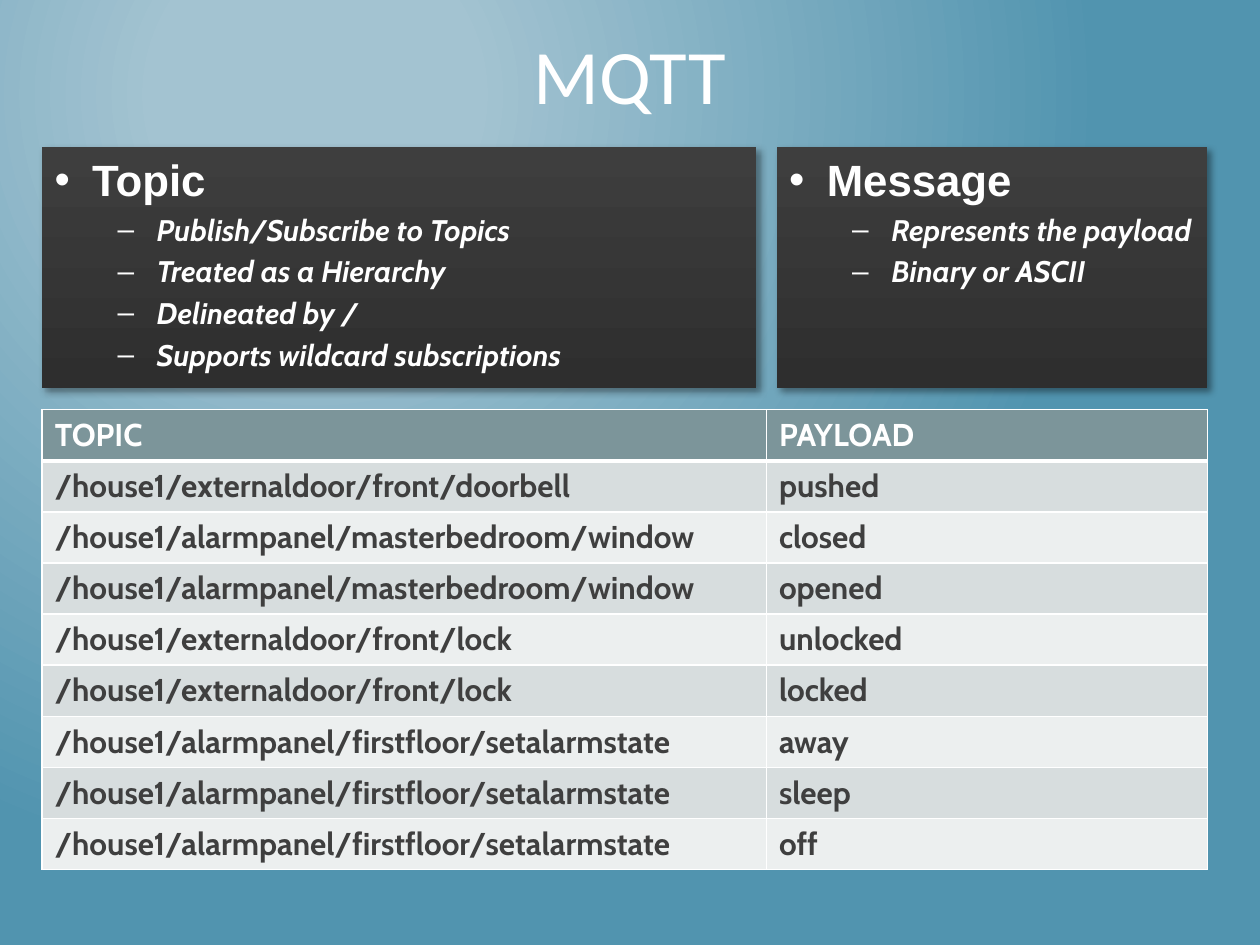
import pptx
import pptx.dml.color
import pptx.enum.shapes
import pptx.enum.text
import pptx.oxml
import pptx.oxml.ns
import pptx.util

Cm = pptx.util.Cm
Pt = pptx.util.Pt
qn = pptx.oxml.ns.qn
NS = pptx.oxml.ns.nsdecls("a")

WHITE = "FFFFFF"
HEAD = "7C959A"
BANDS = ("D7DDDE", "ECEFEF")

TOPIC = ("Topic", ["Publish/Subscribe to Topics", "Treated as a Hierarchy",
                   "Delineated by /", "Supports wildcard subscriptions"])
MESSAGE = ("Message", ["Represents the payload", "Binary or ASCII"])

ROWS = [
    ("TOPIC", "PAYLOAD"),
    ("/house1/externaldoor/front/doorbell", "pushed"),
    ("/house1/alarmpanel/masterbedroom/window", "closed"),
    ("/house1/alarmpanel/masterbedroom/window", "opened"),
    ("/house1/externaldoor/front/lock", "unlocked"),
    ("/house1/externaldoor/front/lock", "locked"),
    ("/house1/alarmpanel/firstfloor/setalarmstate", "away"),
    ("/house1/alarmpanel/firstfloor/setalarmstate", "sleep"),
    ("/house1/alarmpanel/firstfloor/setalarmstate", "off"),
]


def rgb(code):
    return pptx.dml.color.RGBColor.from_string(code)


def style(para, font, size, color, bold=False, italic=False):
    for run in para.runs:
        run.font.name = font
        run.font.size = Pt(size)
        run.font.color.rgb = rgb(color)
        run.font.bold = bold
        run.font.italic = italic


def blend(fill, first, last, start=0):
    """Fill with a gradient between two colours."""
    fill.gradient()
    for stop, color, pos in zip(fill.gradient_stops, (first, last), (start, 1)):
        stop.color.rgb = rgb(color)
        stop.position = pos


def backdrop(slide):
    blend(slide.background.fill, "A3C3D1", "5194AF", 0.2)
    grad = slide.element.find(".//" + qn("a:gradFill"))
    grad.replace(grad.find(qn("a:lin")), pptx.oxml.parse_xml(
        f'<a:path {NS} path="circle">'
        '<a:fillToRect l="50000" t="20000" r="100000" b="100000"/></a:path>'))


def heading(slide, text, x, y, w, h):
    title = slide.shapes.title
    title.left, title.top, title.width, title.height = Cm(x), Cm(y), Cm(w), Cm(h)
    frame = title.text_frame
    frame.text = text
    frame.vertical_anchor = pptx.enum.text.MSO_ANCHOR.MIDDLE
    frame.paragraphs[0].alignment = pptx.enum.text.PP_ALIGN.CENTER
    style(frame.paragraphs[0], "Calibri", 44, WHITE)


def bullet(para, mark, left, hang):
    props = para._p.get_or_add_pPr()
    props.set("marL", str(Cm(left)))
    props.set("indent", str(-Cm(hang)))
    props.append(pptx.oxml.parse_xml(f'<a:buFont {NS} typeface="Arial"/>'))
    props.append(pptx.oxml.parse_xml(f'<a:buChar {NS} char="{mark}"/>'))


def shade(shape):
    shape.shadow.inherit = False
    shape._element.spPr.find(qn("a:effectLst")).append(pptx.oxml.parse_xml(
        f'<a:outerShdw {NS} blurRad="{Pt(4)}" dist="{Pt(3)}" dir="2700000">'
        '<a:srgbClr val="000000"><a:alpha val="40000"/></a:srgbClr>'
        '</a:outerShdw>'))


def panel(slide, head, items, x, y, w, h):
    box = slide.shapes.add_shape(pptx.enum.shapes.MSO_SHAPE.RECTANGLE,
                                 Cm(x), Cm(y), Cm(w), Cm(h))
    blend(box.fill, "2E2E2E", "3E3E3E")
    box.fill.gradient_angle = 90
    box.line.fill.background()
    shade(box)
    frame = box.text_frame
    frame.word_wrap = True
    frame.margin_right = 0
    frame.vertical_anchor = pptx.enum.text.MSO_ANCHOR.TOP
    frame.text = "\n".join([head] + items)
    for i, para in enumerate(frame.paragraphs):
        para.alignment = pptx.enum.text.PP_ALIGN.LEFT
        if i == 0:
            para.space_before = Pt(5)
            bullet(para, "•", 0.76, 0.76)
            style(para, "Arial", 25, WHITE, bold=True)
        else:
            para.level = 1
            para.space_before = Pt(3.4)
            bullet(para, "–", 2.06, 0.79)
            style(para, "Cabin", 17, WHITE, bold=True, italic=True)


def border(cell, **widths):
    """Draw white cell edges; keys are L, R, T and B, in that order."""
    props = cell._tc.get_or_add_tcPr()
    for side, width in widths.items():
        props.append(pptx.oxml.parse_xml(
            f'<a:ln{side} {NS} w="{Pt(width)}"><a:solidFill>'
            f'<a:srgbClr val="{WHITE}"/></a:solidFill></a:ln{side}>'))


def grid(slide, rows, x, y, widths, step):
    table = slide.shapes.add_table(
        len(rows), len(widths), Cm(x), Cm(y),
        Cm(sum(widths)), Cm(step * len(rows))).table
    for col, width in zip(table.columns, widths):
        col.width = Cm(width)
    for r, row in enumerate(rows):
        table.rows[r].height = Cm(step)
        for c, text in enumerate(row):
            cell = table.cell(r, c)
            border(cell, L=1, R=1, T=3 if r == 1 else 1, B=1 if r else 3)
            cell.fill.solid()
            cell.fill.fore_color.rgb = rgb(BANDS[(r - 1) % 2] if r else HEAD)
            cell.text_frame.text = text
            style(cell.text_frame.paragraphs[0], "Cabin", 18,
                  "3F3F3F" if r else WHITE, bold=True)


def main():
    deck = pptx.Presentation()
    deck.slide_width, deck.slide_height = Cm(25.4), Cm(19.05)
    slide = deck.slides.add_slide(deck.slide_layouts[5])
    backdrop(slide)
    heading(slide, "MQTT", 0, 0.64, 25.4, 1.69)
    panel(slide, *TOPIC, 0.85, 2.96, 14.4, 4.87)
    panel(slide, *MESSAGE, 15.66, 2.96, 8.68, 4.87)
    grid(slide, ROWS, 0.85, 8.26, (14.6, 8.89), 1.03)
    deck.save("out.pptx")


if __name__ == "__main__":
    main()
